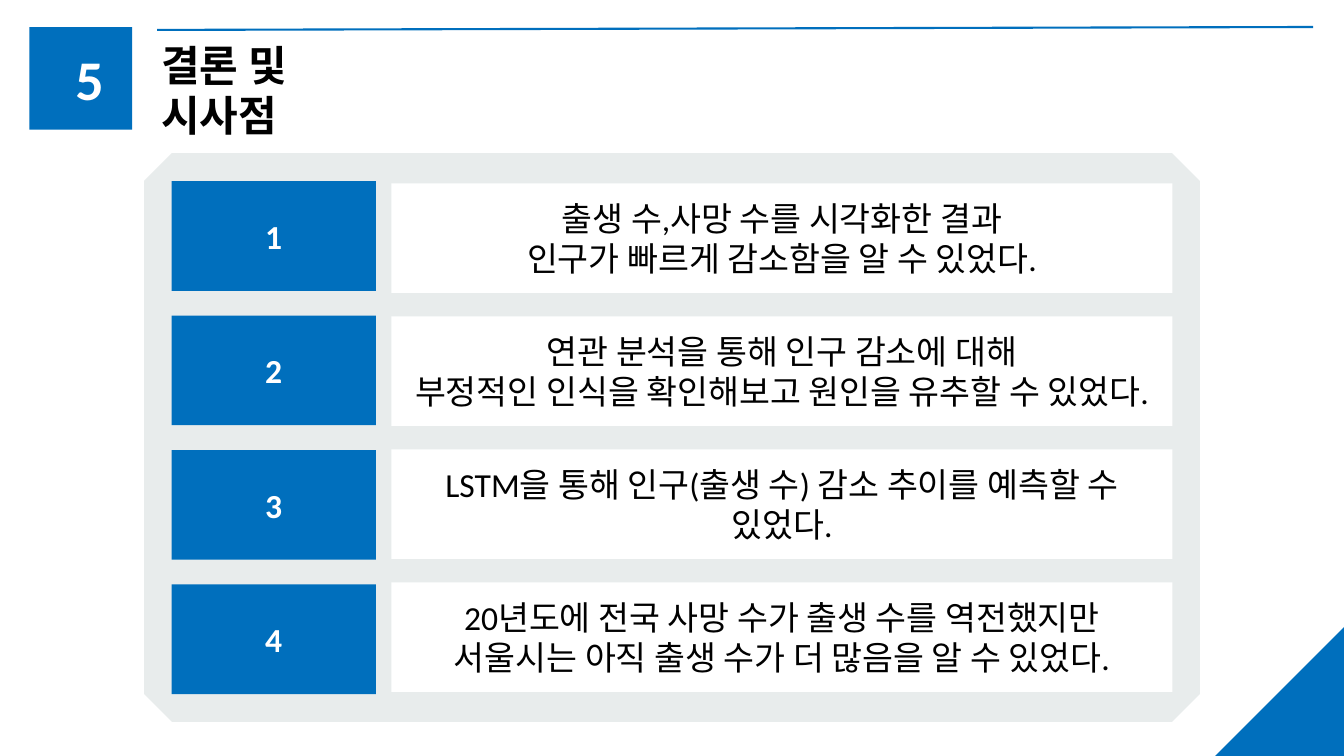
from dataclasses import dataclass

from lxml import etree
from pptx import Presentation
from pptx.dml.color import RGBColor
from pptx.enum.shapes import MSO_CONNECTOR, MSO_SHAPE
from pptx.enum.text import MSO_ANCHOR, MSO_AUTO_SIZE, PP_ALIGN
from pptx.oxml.ns import qn
from pptx.util import Pt

RECTANGLE = MSO_SHAPE.RECTANGLE
RIGHT_TRIANGLE = MSO_SHAPE.RIGHT_TRIANGLE
STRAIGHT = MSO_CONNECTOR.STRAIGHT
TOP, MIDDLE = MSO_ANCHOR.TOP, MSO_ANCHOR.MIDDLE
LEFT, CENTER = PP_ALIGN.LEFT, PP_ALIGN.CENTER
NO_AUTOFIT = MSO_AUTO_SIZE.NONE

WIDTH, HEIGHT = 960, 540
TITLE_ONLY = 5


@dataclass(frozen=True)
class Theme:
    font: str = "Calibri"
    accent: RGBColor = RGBColor(0x00, 0x6F, 0xBD)
    panel: RGBColor = RGBColor(0xE8, 0xEC, 0xEC)
    white: RGBColor = RGBColor(0xFF, 0xFF, 0xFF)
    black: RGBColor = RGBColor(0x00, 0x00, 0x00)
    section_size: int = 40
    title_size: int = 30
    body_size: int = 24


class SlideBuilder:
    def __init__(self, slide, theme):
        self.slide = slide
        self.theme = theme

    def add_lines(self, frame, lines, size, color, bold=False, align=CENTER, anchor=MIDDLE):
        frame.word_wrap = True
        frame.auto_size = NO_AUTOFIT
        frame.vertical_anchor = anchor
        for index, line in enumerate(lines):
            paragraph = frame.add_paragraph() if index else frame.paragraphs[0]
            paragraph.alignment = align
            run = paragraph.add_run()
            run.text = line
            run.font.name = self.theme.font
            run.font.size = Pt(size)
            run.font.bold = bold
            run.font.color.rgb = color

    def title(self, text, left, top, width, height):
        title = self.slide.shapes.title
        title.left, title.top = Pt(left), Pt(top)
        title.width, title.height = Pt(width), Pt(height)
        self.add_lines(title.text_frame, [text], self.theme.title_size,
                       self.theme.black, bold=True, align=LEFT, anchor=TOP)

    def block(self, left, top, width, height, fill, kind=RECTANGLE):
        block = self.slide.shapes.add_shape(
            kind, Pt(left), Pt(top), Pt(width), Pt(height))
        block.shadow.inherit = False
        block.fill.solid()
        block.fill.fore_color.rgb = fill
        block.line.fill.background()
        return block

    def beveled_panel(self, left, top, width, height, border):
        panel = self.block(left, top, width, height, self.theme.panel)
        panel.line.color.rgb = self.theme.panel
        panel.line.width = Pt(border)
        outline = panel._element.spPr.find(qn("a:ln"))
        etree.SubElement(outline, qn("a:bevel"))

    def rule(self, x1, y1, x2, y2, weight):
        rule = self.slide.shapes.add_connector(
            STRAIGHT, Pt(x1), Pt(y1), Pt(x2), Pt(y2))
        rule.line.color.rgb = self.theme.accent
        rule.line.width = Pt(weight)
        etree.SubElement(rule._element.spPr, qn("a:effectLst"))

    def section_number(self, text, left, top, width, height):
        box = self.slide.shapes.add_textbox(Pt(left), Pt(top), Pt(width), Pt(height))
        frame = box.text_frame
        frame.margin_left = frame.margin_right = 0
        frame.margin_top = frame.margin_bottom = 0
        self.add_lines(frame, [text], self.theme.section_size, self.theme.white, bold=True)


def main():
    conclusions = [
        ["출생 수,사망 수를 시각화한 결과", "인구가 빠르게 감소함을 알 수 있었다."],
        ["연관 분석을 통해 인구 감소에 대해",
         "부정적인 인식을 확인해보고 원인을 유추할 수 있었다."],
        ["LSTM을 통해 인구(출생 수) 감소 추이를 예측할 수", "있었다."],
        ["20년도에 전국 사망 수가 출생 수를 역전했지만",
         "서울시는 아직 출생 수가 더 많음을 알 수 있었다."],
    ]

    presentation = Presentation()
    presentation.slide_width, presentation.slide_height = Pt(WIDTH), Pt(HEIGHT)
    slide = presentation.slides.add_slide(presentation.slide_layouts[TITLE_ONLY])
    theme = Theme()
    builder = SlideBuilder(slide, theme)

    builder.rule(112.3, 21.4, 938, 19.3, 1.5)
    builder.block(21, 19.3, 73.4, 73.4, theme.accent)
    builder.section_number("5", 48, 28, 32, 55.5)
    builder.title("결론 및 시사점", 108, 24.5, 122, 80)

    builder.beveled_panel(123, 129.5, 714, 366.5, 40)
    row_height = 78.3
    for index, lines in enumerate(conclusions):
        number = builder.block(122.5, 129.5 + 96 * index, 146, row_height, theme.accent)
        builder.add_lines(number.text_frame, [str(index + 1)], theme.body_size,
                          theme.white, bold=True)
        finding = builder.block(279.5, 131 + 95 * index, 558, row_height, theme.white)
        builder.add_lines(finding.text_frame, lines, theme.body_size, theme.black)

    corner_size = 92
    corner = builder.block(WIDTH - corner_size, HEIGHT - corner_size,
                           corner_size, corner_size, theme.accent, RIGHT_TRIANGLE)
    corner.rotation = 270

    presentation.save("out.pptx")


if __name__ == "__main__":
    main()
